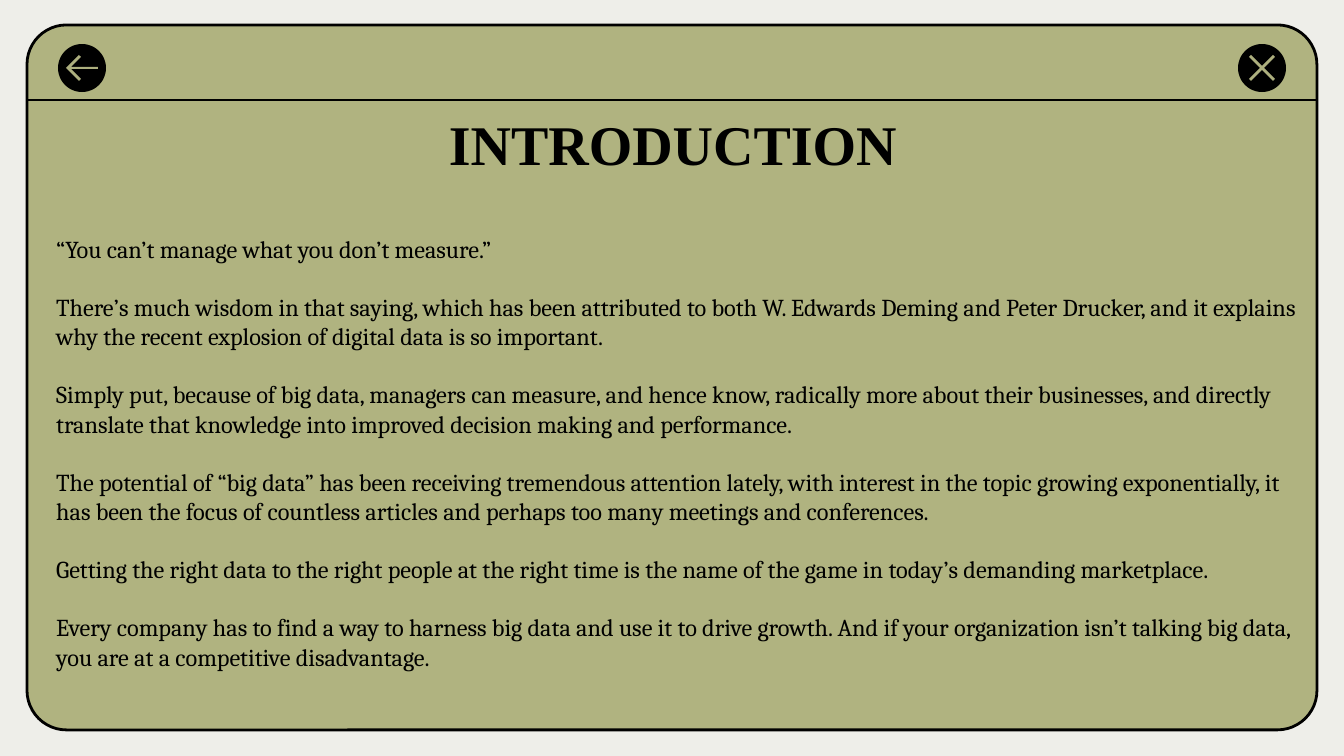
from lxml import etree
from pptx import Presentation
from pptx.dml.color import RGBColor
from pptx.enum.shapes import MSO_CONNECTOR, MSO_SHAPE
from pptx.enum.text import MSO_ANCHOR, PP_ALIGN
from pptx.oxml.ns import qn
from pptx.util import Emu, Inches, Pt

ROUNDED = MSO_SHAPE.ROUNDED_RECTANGLE
OVAL = MSO_SHAPE.OVAL
STRAIGHT = MSO_CONNECTOR.STRAIGHT
MIDDLE = MSO_ANCHOR.MIDDLE
LEFT, CENTER = PP_ALIGN.LEFT, PP_ALIGN.CENTER

PX = 914400 / 134.4  # EMU in one px
COLORS = {"page": "EEEEE9", "panel": "B0B380", "ink": "000000", "icon": "ADAF7E"}
OUTLINE = 1.5
BUTTON_SIZE = 48

# Icon outlines, in px from the centre of their button
ARROW = [(-3, -13), (-16, 0), (-3, 13), (-1, 11), (-11, 1),
         (16, 1), (16, -1), (-11, -1), (-1, -11)]
CROSS = [(-11, -13), (-13, -11), (-2, 0), (-13, 11), (-11, 13), (0, 2),
         (11, 13), (13, 11), (2, 0), (13, -11), (11, -13), (0, -2)]

INTRODUCTION = [
    "“You can’t manage what you don’t measure.”",
    "There’s much wisdom in that saying, which has been attributed to both "
    "W. Edwards Deming and Peter Drucker, and it explains why the recent "
    "explosion of digital data is so important.",
    "Simply put, because of big data, managers can measure, and hence know, "
    "radically more about their businesses, and directly translate that "
    "knowledge into improved decision making and performance.",
    "The potential of “big data” has been receiving tremendous attention "
    "lately, with interest in the topic growing exponentially, it has been the "
    "focus of countless articles and perhaps too many meetings and conferences.",
    "Getting the right data to the right people at the right time is the name "
    "of the game in today’s demanding marketplace.",
    "Every company has to find a way to harness big data and use it to drive "
    "growth. And if your organization isn’t talking big data, you are at a "
    "competitive disadvantage.",
]


def px(length):
    return Emu(round(length * PX))


def color(name):
    return RGBColor.from_string(COLORS[name])


def paint(shape, fill, line=None):
    shape.shadow.inherit = False
    shape.fill.solid()
    shape.fill.fore_color.rgb = color(fill)
    if line:
        shape.line.color.rgb = color(line)
        shape.line.width = Pt(OUTLINE)
    else:
        shape.line.fill.background()


def add_panel(slide, left, top, width, height):
    panel = slide.shapes.add_shape(ROUNDED, px(left), px(top), px(width), px(height))
    panel.adjustments[0] = 0.056
    paint(panel, "panel", "ink")


def add_divider(slide, left, right, y):
    divider = slide.shapes.add_connector(STRAIGHT, px(left), px(y), px(right), px(y))
    divider.line.color.rgb = color("ink")
    divider.line.width = Pt(OUTLINE)
    etree.SubElement(divider.element.spPr, qn("a:effectLst"))


def add_button(slide, center_x, center_y, outline):
    radius = BUTTON_SIZE / 2
    disc = slide.shapes.add_shape(OVAL, px(center_x - radius), px(center_y - radius),
                                  px(BUTTON_SIZE), px(BUTTON_SIZE))
    paint(disc, "ink")
    points = [(center_x + dx, center_y + dy) for dx, dy in outline]
    builder = slide.shapes.build_freeform(*points[0], scale=PX)
    builder.add_line_segments(points[1:], close=True)
    paint(builder.convert_to_shape(), "icon")


def add_text(slide, left, top, width, height, paragraphs, font, size,
             bold=False, align=LEFT, line_spacing=1.0, gap=0):
    box = slide.shapes.add_textbox(px(left), px(top), px(width), px(height))
    frame = box.text_frame
    frame.word_wrap = True
    frame.vertical_anchor = MIDDLE
    frame.margin_left = frame.margin_right = Inches(0.1)
    frame.margin_top = frame.margin_bottom = Inches(0.1)
    for index, text in enumerate(paragraphs):
        paragraph = frame.add_paragraph() if index else frame.paragraphs[0]
        paragraph.alignment = align
        paragraph.line_spacing = line_spacing
        paragraph.space_before = Pt(gap if index else 0)
        run = paragraph.add_run()
        run.text = text
        run.font.name = font
        run.font.size = Pt(size)
        run.font.bold = bold
        run.font.color.rgb = color("ink")


def main():
    deck = Presentation()
    deck.slide_width, deck.slide_height = px(1344), px(756)
    slide = deck.slides.add_slide(deck.slide_layouts[6])
    slide.background.fill.solid()
    slide.background.fill.fore_color.rgb = color("page")

    # Window frame with its title bar
    add_panel(slide, 27, 25, 1290, 705)
    add_divider(slide, 27, 1317, 100)

    # Introduction text
    add_text(slide, 43, 179, 1270, 547, INTRODUCTION, "Cambria", 13, gap=15.6)

    # Close and back buttons
    add_button(slide, 1262, 68, CROSS)
    add_button(slide, 82, 68, ARROW)

    # Heading
    add_text(slide, 106, 110, 1134, 83, ["INTRODUCTION"], "Times New Roman", 30,
             bold=True, align=CENTER, line_spacing=0.7)

    deck.save("out.pptx")


if __name__ == "__main__":
    main()
